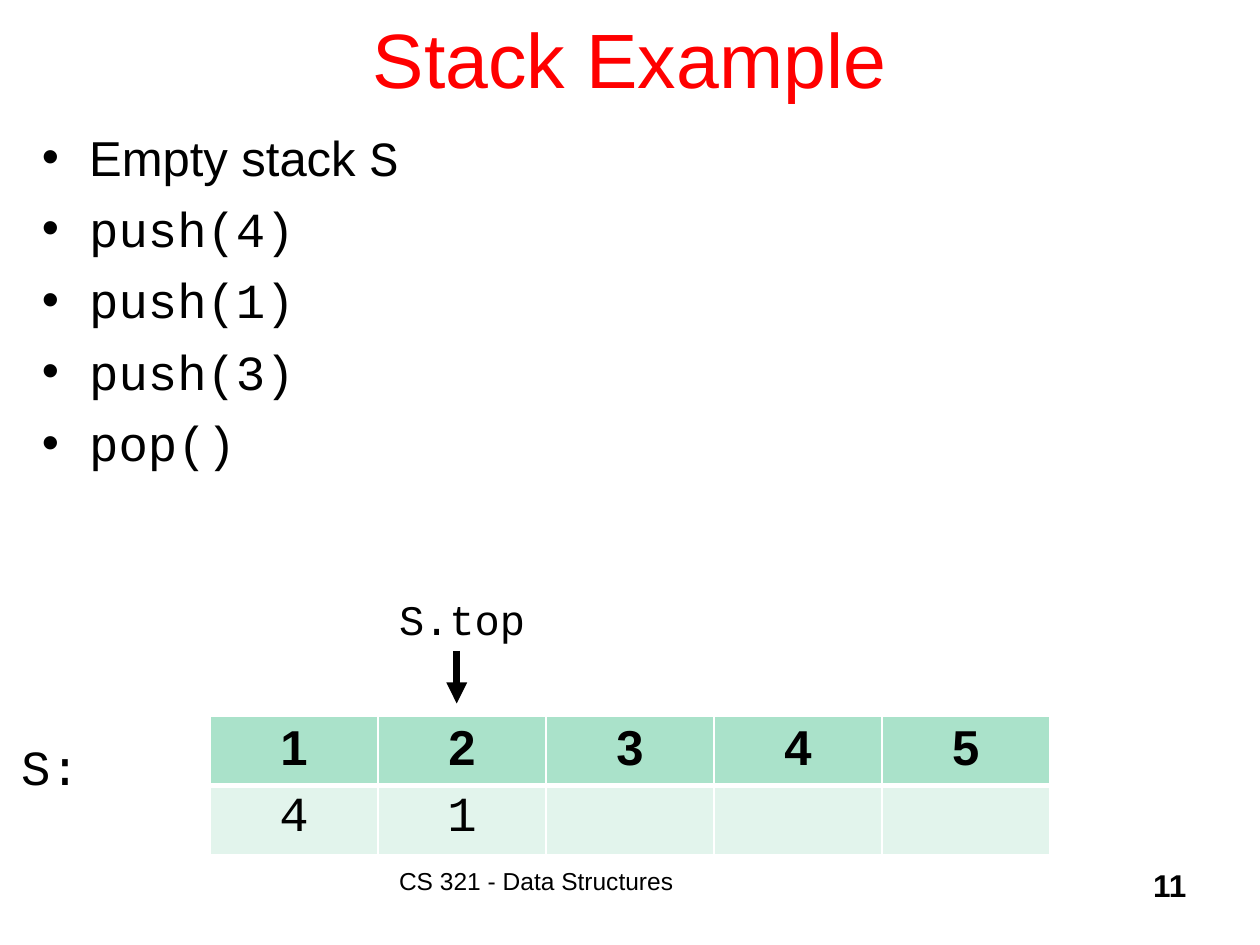
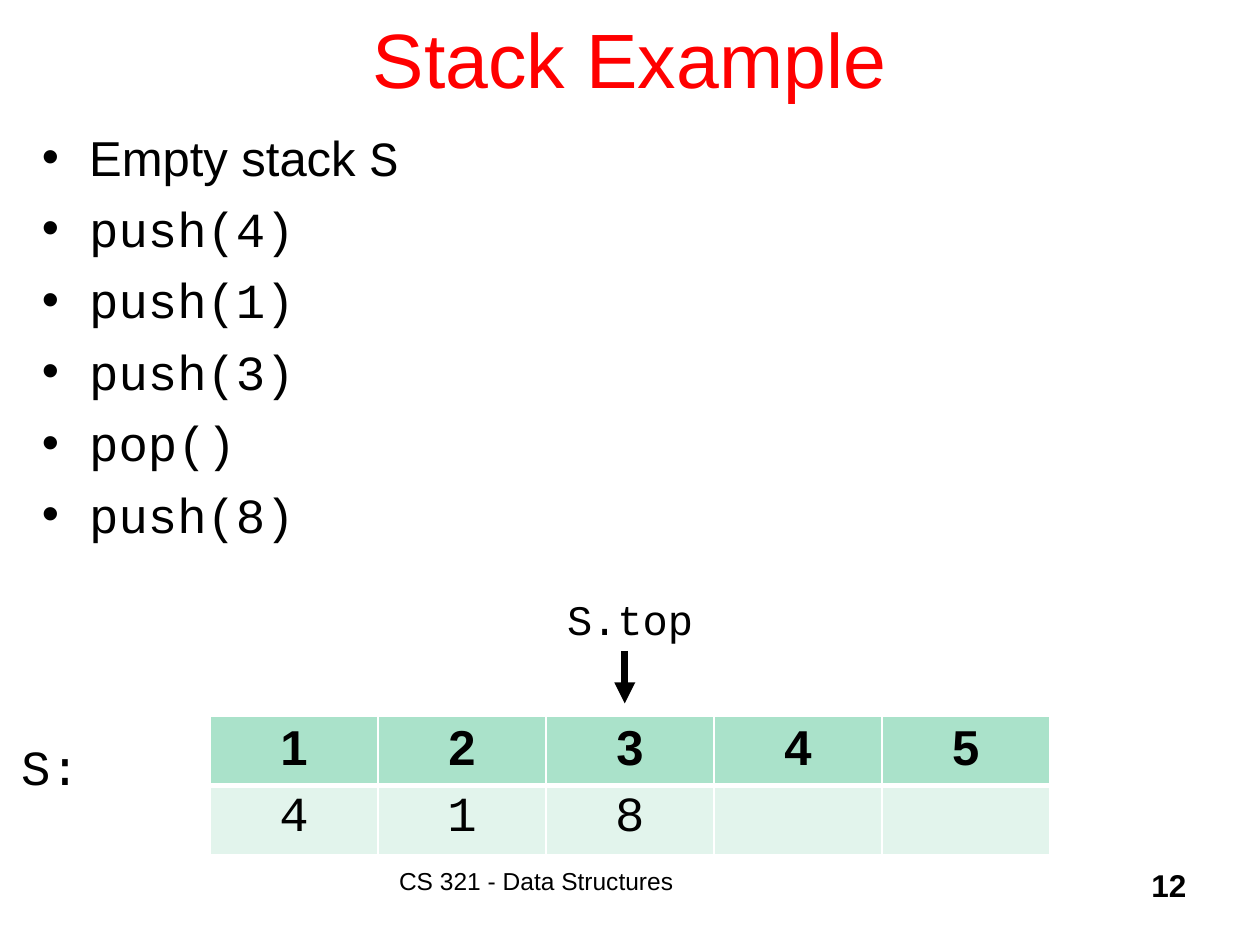
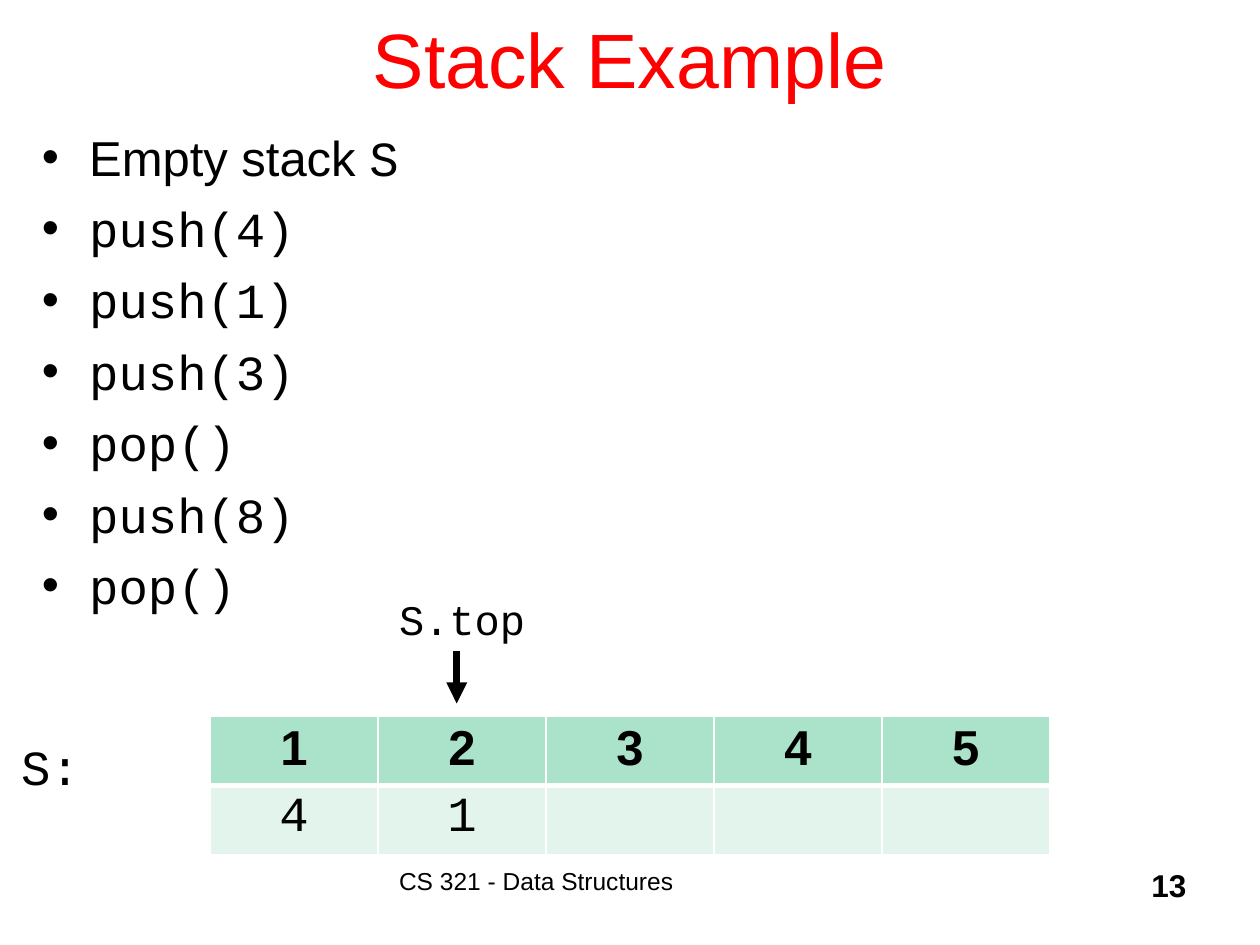
from lxml import etree
from pptx import Presentation
from pptx.dml.color import RGBColor
from pptx.enum.shapes import MSO_CONNECTOR
from pptx.enum.text import MSO_ANCHOR, MSO_AUTO_SIZE, PP_ALIGN
from pptx.oxml.ns import qn
from pptx.util import Inches, Pt

LEFT, CENTER, RIGHT = PP_ALIGN.LEFT, PP_ALIGN.CENTER, PP_ALIGN.RIGHT
MIDDLE, TOP = MSO_ANCHOR.MIDDLE, MSO_ANCHOR.TOP
NO_AUTOFIT = MSO_AUTO_SIZE.NONE
STRAIGHT = MSO_CONNECTOR.STRAIGHT

RED = RGBColor(0xFF, 0x00, 0x00)
BLACK = RGBColor(0x00, 0x00, 0x00)
WHITE = RGBColor(0xFF, 0xFF, 0xFF)
HEADER_GREEN = RGBColor(0xAA, 0xE2, 0xCA)
CELL_GREEN = RGBColor(0xE2, 0xF4, 0xEC)

SANS, MONO = "Arial", "Courier New"
TITLE_ONLY = 5
GRID_COLUMNS, GRID_ROWS = 120, 90
CAPACITY = 5
SLOT_WIDTH = 16
OPERATIONS = ["push(4)", "push(1)", "push(3)", "pop()", "push(8)", "pop()"]
FIRST_STEP, FIRST_NUMBER = 4, 11


class StackDeck:
    def __init__(self):
        self.deck = Presentation()
        self.deck.slide_width, self.deck.slide_height = Inches(10), Inches(7.5)
        self.page = None

    def grid(self, *lengths):
        """Turn alternating columns and rows into lengths."""
        units = (self.deck.slide_width / GRID_COLUMNS,
                 self.deck.slide_height / GRID_ROWS)
        return [round(length * units[index % 2])
                for index, length in enumerate(lengths)]

    def style(self, paragraph, size, font=SANS, color=BLACK, bold=False, align=LEFT):
        paragraph.alignment = align
        paragraph.font.size = Pt(size)
        paragraph.font.name = font
        paragraph.font.color.rgb = color
        paragraph.font.bold = bold

    def set_margins(self, target):
        target.margin_left, target.margin_top = self.grid(1, 0.5)
        target.margin_right, target.margin_bottom = self.grid(1, 0.5)

    def add_page(self, title):
        self.page = self.deck.slides.add_slide(self.deck.slide_layouts[TITLE_ONLY])
        box = self.page.shapes.title
        box.left, box.top, box.width, box.height = self.grid(9, -2, 102, 15)
        frame = box.text_frame
        frame.text = title
        frame.auto_size, frame.vertical_anchor = NO_AUTOFIT, MIDDLE
        self.set_margins(frame)
        self.style(frame.paragraphs[0], 44, color=RED, align=CENTER)

    def text_frame(self, place):
        frame = self.page.shapes.add_textbox(*self.grid(*place)).text_frame
        frame.word_wrap, frame.vertical_anchor = True, TOP
        self.set_margins(frame)
        return frame

    def label(self, text, place, size, **look):
        paragraph = self.text_frame(place).paragraphs[0]
        paragraph.text = text
        self.style(paragraph, size, **look)

    def bullet(self, paragraph):
        hang = self.grid(4.5)[0]
        properties = paragraph._p.get_or_add_pPr()
        properties.set("marL", str(hang))
        properties.set("indent", str(-hang))
        etree.SubElement(properties, qn("a:buFont")).set("typeface", SANS)
        etree.SubElement(properties, qn("a:buChar")).set("char", "•")

    def operation_list(self, operations):
        frame = self.text_frame((3, 11, 114, 67))
        frame.margin_top = self.grid(0, 1.1)[1]
        first = frame.paragraphs[0]
        first.add_run().text = "Empty stack "
        span = first.add_run()
        span.text, span.font.name = "S", MONO
        self.style(first, 28)
        for operation in operations:
            paragraph = frame.add_paragraph()
            paragraph.text = operation
            paragraph.space_before = Pt(7.2)
            self.style(paragraph, 28, font=MONO)
        for paragraph in frame.paragraphs:
            self.bullet(paragraph)

    def cell_borders(self, cell, widths):
        properties = cell._tc.get_or_add_tcPr()
        for position, (side, width) in enumerate(zip("LRTB", widths)):
            line = etree.Element(qn(f"a:ln{side}"), w=str(Pt(width)))
            fill = etree.SubElement(line, qn("a:solidFill"))
            etree.SubElement(fill, qn("a:srgbClr")).set("val", str(WHITE))
            properties.insert(position, line)

    def stack_table(self, stack):
        place = self.grid(20, 68.2, SLOT_WIDTH * CAPACITY, 9.76)
        table = self.page.shapes.add_table(2, CAPACITY, *place).table
        header = [str(slot + 1) for slot in range(CAPACITY)]
        values = stack + [""] * (CAPACITY - len(stack))
        rows = [(header, HEADER_GREEN, SANS, True, (1, 1, 1, 3)),
                (values, CELL_GREEN, MONO, False, (1, 1, 3, 1))]
        for row, (texts, fill, font, bold, widths) in enumerate(rows):
            for column, text in enumerate(texts):
                cell = table.cell(row, column)
                cell.text = text
                self.set_margins(cell)
                cell.fill.solid()
                cell.fill.fore_color.rgb = fill
                self.cell_borders(cell, widths)
                self.style(cell.text_frame.paragraphs[0], 28, font=font,
                           bold=bold, align=CENTER)

    def arrow(self, *ends):
        line = self.page.shapes.add_connector(STRAIGHT, *self.grid(*ends))
        line.line.color.rgb, line.line.width = BLACK, Pt(4)
        etree.SubElement(line.line._get_or_add_ln(), qn("a:tailEnd")).set("type", "triangle")
        etree.SubElement(line._element.spPr, qn("a:effectLst"))

    def top_pointer(self, depth):
        offset = SLOT_WIDTH * depth
        self.label("S.top", (offset + 5, 56, 15, 6), 24, font=MONO)
        self.arrow(offset + 11.5, 62, offset + 11.5, 67)

    def footer(self, number):
        self.label("CS 321 - Data Structures", (37, 82, 46, 6), 14)
        self.label(str(number), (89, 82, 25, 6), 18, bold=True, align=RIGHT)


def run_operations(operations):
    """Return the stack's values, bottom first."""
    stack = []
    for operation in operations:
        if operation == "pop()":
            stack.pop()
        else:
            stack.append(operation[len("push("):-1])
    return stack


def main():
    slides = StackDeck()
    for number, count in enumerate(range(FIRST_STEP, len(OPERATIONS) + 1), FIRST_NUMBER):
        operations = OPERATIONS[:count]
        stack = run_operations(operations)
        slides.add_page("Stack Example")
        slides.operation_list(operations)
        slides.footer(number)
        slides.stack_table(stack)
        slides.top_pointer(len(stack))
        slides.label("S:", (1, 69.6, 9, 6.8), 28, font=MONO)
    slides.deck.save("out.pptx")


if __name__ == "__main__":
    main()
